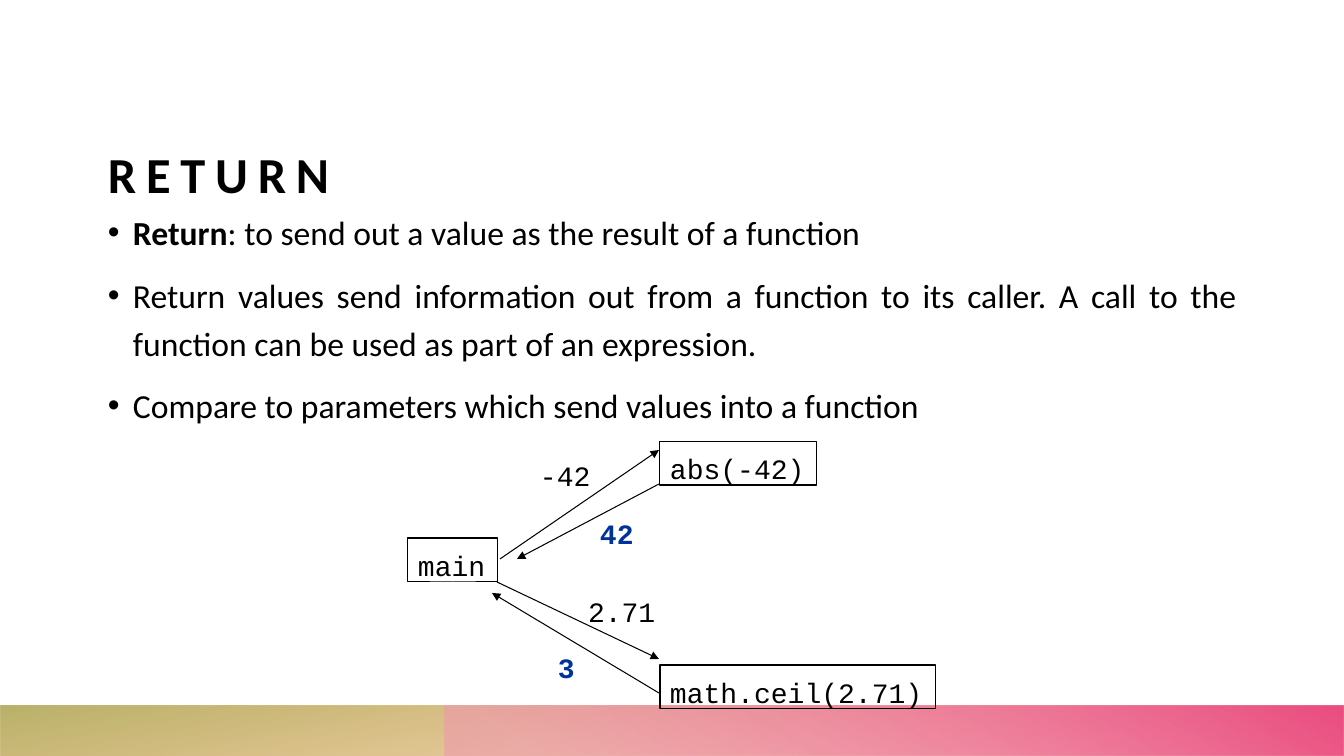
"""Build the RETURN slide: three bullets and a diagram of calls and returned values."""
from lxml import etree
from pptx import Presentation
from pptx.dml.color import RGBColor
from pptx.enum.shapes import MSO_CONNECTOR, MSO_SHAPE
from pptx.enum.text import MSO_ANCHOR, PP_ALIGN
from pptx.oxml import parse_xml
from pptx.oxml.ns import nsdecls, qn
from pptx.util import Emu, Pt

RECT, LINE = MSO_SHAPE.RECTANGLE, MSO_CONNECTOR.STRAIGHT
TOP, BOTTOM = MSO_ANCHOR.TOP, MSO_ANCHOR.BOTTOM
LEFT, JUSTIFY = PP_ALIGN.LEFT, PP_ALIGN.JUSTIFY

TITLE = "RETURN"
BULLETS = [
    [("Return", True), (": to send out a value as the result of a function", False)],
    [("Return values send information out from a function to its caller. "
      "A call to the function can be used as part of an expression.", False)],
    [("Compare to parameters which send values into a function", False)],
]
BOXES = [
    ("main", (408, 538, 90, 44)),
    ("abs(-42)", (660, 441, 157, 44)),
    ("math.ceil(2.71)", (660, 665, 276, 44)),
]
ARGUMENTS = [("-42", (530, 449, 71, 43)), ("2.71", (578, 585, 88, 43))]
RESULTS = [("42", (590, 507, 55, 43)), ("3", (548, 641, 38, 43))]
ARROWS = [
    ((500, 559), (659, 450)),
    ((659, 484), (517, 559)),
    ((497, 582), (659, 659)),
    ((659, 693), (492, 593)),
]
BARS = [
    ((0, 706, 1344, 50), 180, 100, [(14, "E88F33", 28), (100, "ACA54F", 85)]),
    ((445, 706, 899, 50), 0, 240, [(9, "F395B3", 55), (99, "EB4E81", 100)]),
]
THEME = {
    "title": {"name": "Calibri", "size": Pt(36), "bold": True, "color": "000000"},
    "body": {"name": "Calibri", "size": Pt(24), "color": "000000"},
    "code": {"name": "Courier New", "size": Pt(20), "color": "000000"},
    "result": {"name": "Courier New", "size": Pt(20), "bold": True, "color": "003399"},
    "line": "000000",
    "line_width": Pt(0.75),
}
TITLE_BOX, BODY_BOX = (108, 68, 1129, 136), (108, 204, 1129, 436)
BULLET_INDENT = 25
CODE_INSETS = (10, 10, 10, 0)


def px(n):
    return Emu(round(n * 914400 / 100.8))


def scaled(values):
    return [px(v) for v in values]


def set_font(font, style):
    for key, value in style.items():
        if key == "color":
            font.color.rgb = RGBColor.from_string(value)
        else:
            setattr(font, key, value)


def set_frame(sp, insets=(0, 0, 0, 0), wrap=True, anchor=TOP):
    left, top, right, bottom = scaled(insets)
    tf = sp.text_frame
    frame = {"margin_left": left, "margin_top": top, "margin_right": right,
             "margin_bottom": bottom, "word_wrap": wrap, "vertical_anchor": anchor}
    for key, value in frame.items():
        setattr(tf, key, value)
    return tf


def add_run(p, text, style):
    r = p.add_run()
    r.text = text
    set_font(r.font, style)
    return r


def add_bar(s, box, rotation, angle, stops):
    sp = s.shapes.add_shape(RECT, *scaled(box))
    sp.shadow.inherit = False
    sp.line.fill.background()
    sp.rotation = rotation
    pr = sp._element.spPr
    pr.find(qn("a:xfrm")).set("flipH", "1")
    gs = "".join(
        f'<a:gs pos="{pos * 1000}"><a:srgbClr val="{color}">'
        f'<a:alpha val="{alpha * 1000}"/></a:srgbClr></a:gs>'
        for pos, color, alpha in stops)
    pr.find(qn("a:prstGeom")).addnext(parse_xml(
        f'<a:gradFill {nsdecls("a")} rotWithShape="1"><a:gsLst>{gs}</a:gsLst>'
        f'<a:lin ang="{angle * 60000}" scaled="0"/></a:gradFill>'))


def add_title(s):
    tf = set_frame(s.shapes.add_textbox(*scaled(TITLE_BOX)), anchor=BOTTOM)
    r = add_run(tf.paragraphs[0], TITLE, THEME["title"])
    r._r.get_or_add_rPr().set("spc", "700")


def add_bullets(s):
    tf = set_frame(s.shapes.add_textbox(*scaled(BODY_BOX)))
    for i, runs in enumerate(BULLETS):
        p = tf.add_paragraph() if i else tf.paragraphs[0]
        pr = p._p.get_or_add_pPr()
        pr.set("marL", str(px(BULLET_INDENT)))
        pr.set("indent", str(-px(BULLET_INDENT)))
        etree.SubElement(pr, qn("a:buFont")).set("typeface", "Arial")
        etree.SubElement(pr, qn("a:buChar")).set("char", "•")
        p.alignment, p.line_spacing = JUSTIFY, 1.2
        if i:
            p.space_before = Pt(10)
        for text, bold in runs:
            add_run(p, text, {**THEME["body"], "bold": bold})


def add_code(sp, text, style):
    p = set_frame(sp, CODE_INSETS, wrap=False).paragraphs[0]
    p.alignment = LEFT
    add_run(p, text, style)


def set_line(sp):
    sp.line.color.rgb = RGBColor.from_string(THEME["line"])
    sp.line.width = THEME["line_width"]


def add_diagram(s):
    for text, box in BOXES:
        sp = s.shapes.add_shape(RECT, *scaled(box))
        sp.shadow.inherit = False
        sp.fill.background()
        set_line(sp)
        add_code(sp, text, THEME["code"])
    for start, end in ARROWS:
        sp = s.shapes.add_connector(LINE, *scaled(start + end))
        set_line(sp)
        etree.SubElement(sp.line._get_or_add_ln(), qn("a:tailEnd")).set("type", "triangle")
        etree.SubElement(sp._element.spPr, qn("a:effectLst"))
    for style, labels in (("code", ARGUMENTS), ("result", RESULTS)):
        for text, box in labels:
            add_code(s.shapes.add_textbox(*scaled(box)), text, THEME[style])


def main():
    prs = Presentation()
    prs.slide_width, prs.slide_height = scaled((1344, 756))
    s = prs.slides.add_slide(prs.slide_layouts[6])
    for bar in BARS:
        add_bar(s, *bar)
    add_title(s)
    add_bullets(s)
    add_diagram(s)
    prs.save("out.pptx")


if __name__ == "__main__":
    main()
